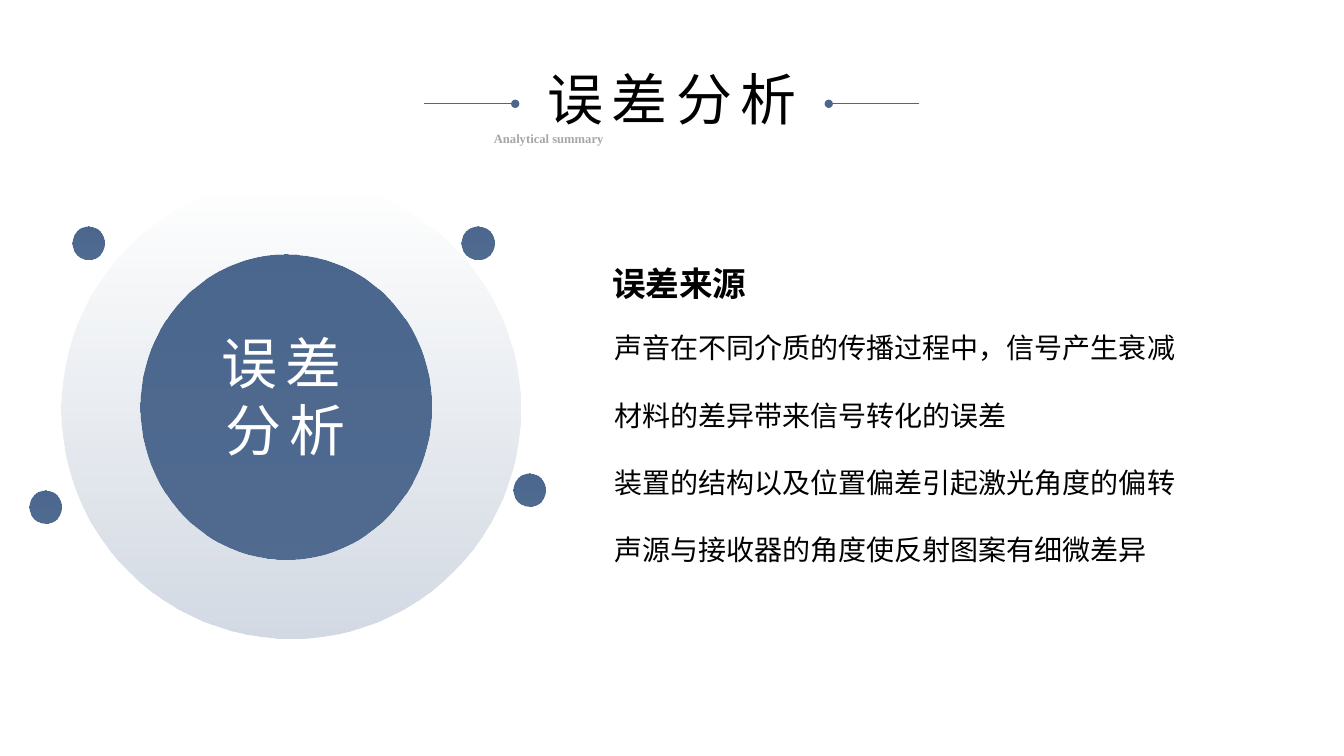
from dataclasses import dataclass

from lxml.etree import SubElement
from pptx import Presentation
from pptx.dml.color import RGBColor
from pptx.enum.shapes import MSO_CONNECTOR as Connector, MSO_SHAPE as Shape
from pptx.enum.text import MSO_ANCHOR as Anchor, MSO_AUTO_SIZE as AutoSize, PP_ALIGN as Align
from pptx.oxml.ns import qn
from pptx.util import Inches, Pt


@dataclass(frozen=True)
class Theme:
    blue: str = "4C678E"
    gray: str = "A6A6A6"
    black: str = "000000"
    white: str = "FFFFFF"
    chinese: str = "Noto Sans CJK SC"
    latin: str = "Times New Roman"
    title: int = 40
    heading: int = 24
    body: int = 20
    caption: int = 9
    tracking: int = 6


class SlideBuilder:
    def __init__(self, deck, theme):
        self.theme = theme
        self.slide = deck.slides.add_slide(deck.slide_layouts[5])

    def fill_text(self, box, lines, size, color, font=None, bold=False,
                  align=Align.JUSTIFY, spacing=1.0, tracking=0, inset=None):
        frame = box.text_frame
        frame_format = {"word_wrap": True, "vertical_anchor": Anchor.TOP,
                        "auto_size": AutoSize.SHAPE_TO_FIT_TEXT}
        if inset is not None:
            for side in ("left", "top", "right", "bottom"):
                frame_format[f"margin_{side}"] = Inches(inset)
        for name, value in frame_format.items():
            setattr(frame, name, value)
        typeface = font or self.theme.chinese
        font_format = {"name": typeface, "size": Pt(size), "bold": bold}
        for index, line in enumerate(lines):
            para = frame.add_paragraph() if index else frame.paragraphs[0]
            para.alignment = align
            para.line_spacing = spacing
            span = para.add_run()
            span.text = line
            for name, value in font_format.items():
                setattr(span.font, name, value)
            span.font.color.rgb = RGBColor.from_string(color)
            properties = span._r.get_or_add_rPr()
            SubElement(properties, qn("a:ea")).set("typeface", typeface)
            if tracking:
                properties.set("spc", str(tracking * 100))

    def title(self, text, left, top, width, height):
        box = self.slide.shapes.title
        place = {"left": left, "top": top, "width": width, "height": height}
        for name, value in place.items():
            setattr(box, name, Inches(value))
        self.fill_text(box, [text], self.theme.title, self.theme.black,
                       align=Align.CENTER, tracking=self.theme.tracking)

    def text(self, lines, left, top, width, height, size, color, **style):
        box = self.slide.shapes.add_textbox(*map(Inches, (left, top, width, height)))
        self.fill_text(box, lines, size, color, **style)

    def disc(self, left, top, width, height, opacities=(100, 97)):
        disc = self.slide.shapes.add_shape(
            Shape.OVAL, *map(Inches, (left, top, width, height)))
        disc.shadow.inherit = False
        disc.line.fill.background()
        disc.fill.gradient()
        disc.fill.gradient_angle = 270
        for stop, position in zip(disc.fill.gradient_stops, (0, 1)):
            stop.position = position
            stop.color.rgb = RGBColor.from_string(self.theme.blue)
        colors = disc._element.spPr.iter(qn("a:srgbClr"))
        for color, opacity in zip(colors, opacities):
            SubElement(color, qn("a:alpha")).set("val", str(opacity * 1000))

    def dotted_line(self, start, end, height):
        line = self.slide.shapes.add_connector(
            Connector.STRAIGHT, *map(Inches, (start, height, end, height)))
        line.line.color.rgb = RGBColor.from_string(self.theme.blue)
        line.line.width = Pt(0.5)
        SubElement(line.line._get_or_add_ln(), qn("a:tailEnd")).set("type", "oval")
        SubElement(line._element.spPr, qn("a:effectLst"))


def main():
    deck = Presentation()
    deck.slide_width, deck.slide_height = Inches(13.33), Inches(7.5)
    theme = Theme()
    page = SlideBuilder(deck, theme)

    page.text(["Analytical summary"], 4.8, 1.25, 3.74, 0.25, theme.caption,
              theme.gray, font=theme.latin, bold=True)
    page.title("误差分析", 5.16, 0.59, 3.01, 0.77)
    for start, end in ((4.21, 5.11), (9.12, 8.22)):
        page.dotted_line(start, end, 1.03)

    page.disc(0.61, 1.78, 4.55, 4.55, opacities=(0, 25))
    page.disc(1.39, 2.53, 2.89, 3.02)
    for left, top in ((0.72, 2.25), (4.58, 2.25), (0.29, 4.87), (5.09, 4.7)):
        page.disc(left, top, 0.32, 0.32)
    page.text(["误差分析"], 1.96, 3.21, 1.75, 1.45, theme.title, theme.white,
              align=Align.CENTER, tracking=theme.tracking)

    page.text(["误差来源"], 6.07, 2.41, 2.48, 0.53, theme.heading, theme.black,
              bold=True, spacing=1.5, inset=0)
    sources = ["声音在不同介质的传播过程中，信号产生衰减",
               "材料的差异带来信号转化的误差",
               "装置的结构以及位置偏差引起激光角度的偏转",
               "声源与接收器的角度使反射图案有细微差异"]
    page.text(sources, 6.09, 2.95, 6.88, 2.59, theme.body, theme.black,
              spacing=2.0, inset=0)

    deck.save("out.pptx")


if __name__ == "__main__":
    main()
